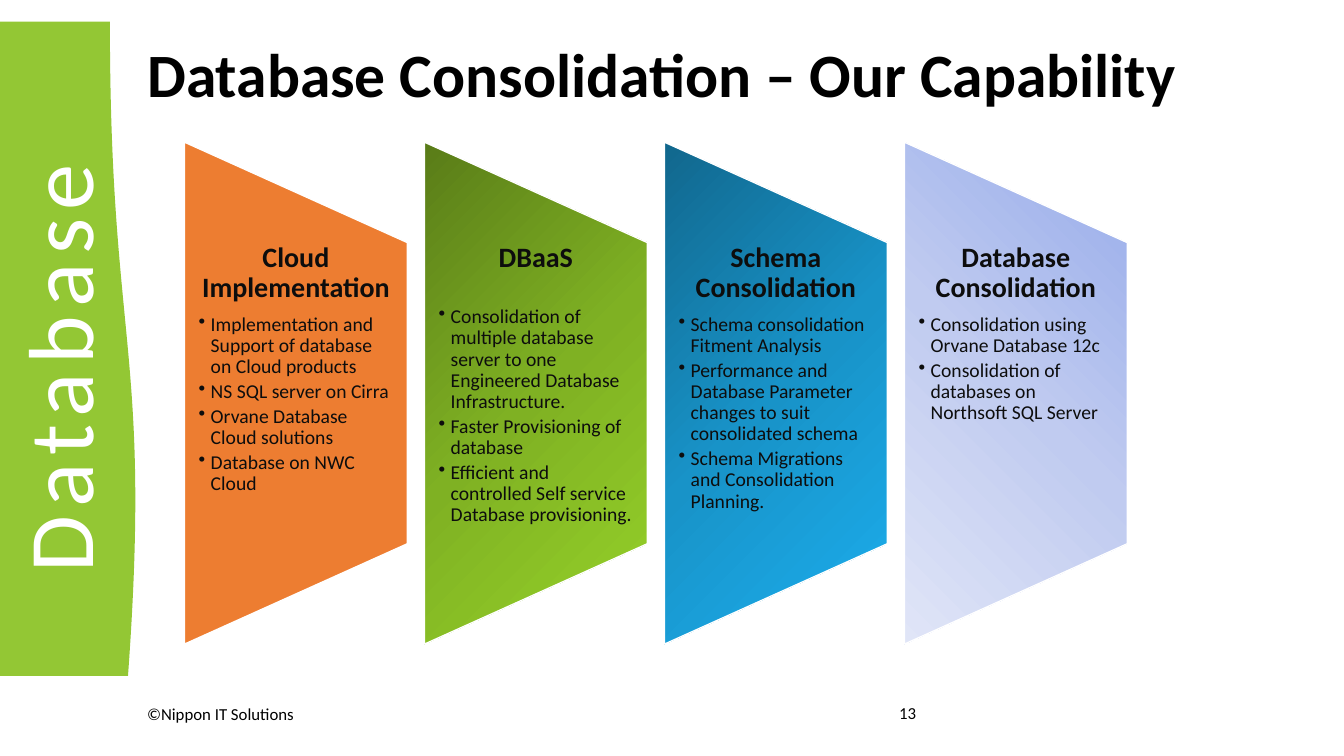
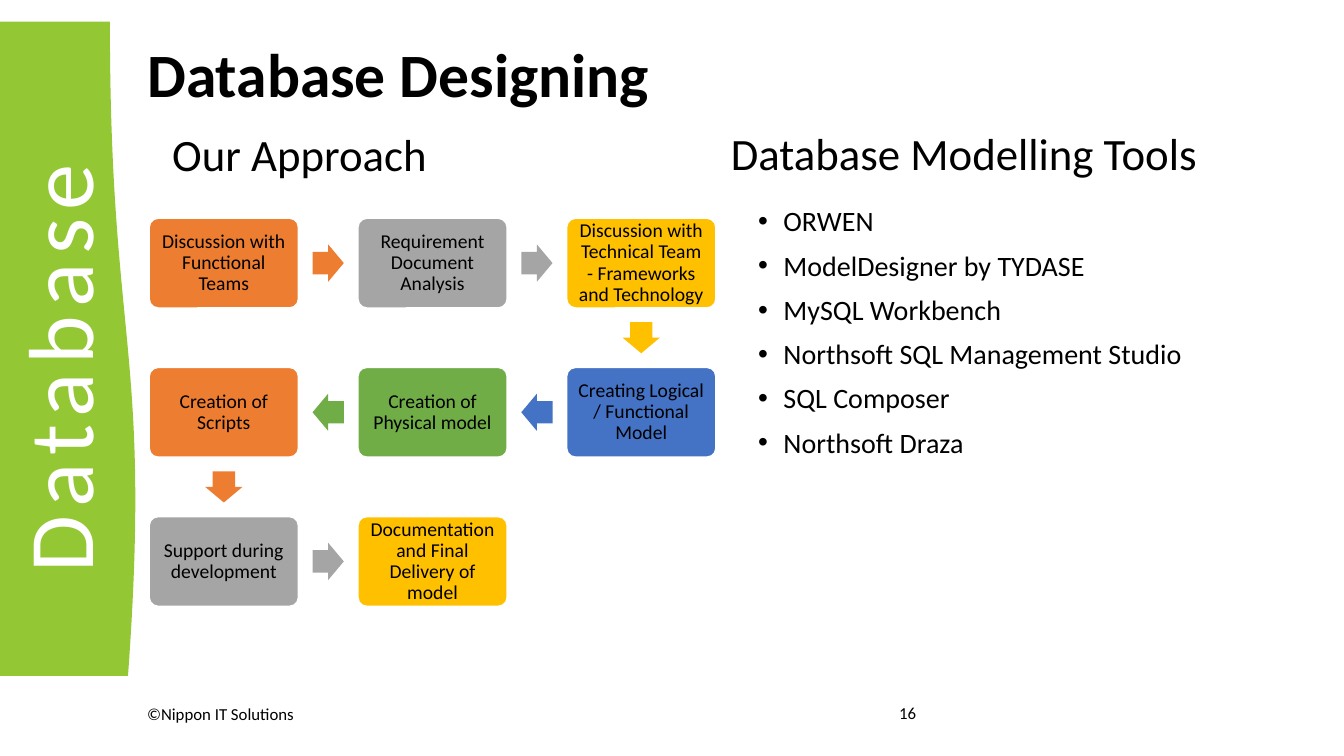
from copy import deepcopy
from dataclasses import dataclass
from itertools import pairwise

from pptx import Presentation
from pptx.dml.color import RGBColor
from pptx.enum.shapes import MSO_SHAPE
from pptx.enum.text import MSO_ANCHOR, MSO_AUTO_SIZE, PP_ALIGN
from pptx.oxml.ns import qn
from pptx.oxml.xmlchemy import OxmlElement
from pptx.presentation import Presentation as Deck
from pptx.shapes.autoshape import Shape
from pptx.slide import Slide
from pptx.text.text import TextFrame
from pptx.util import Inches, Pt

FONT = "Calibri"
BLACK = RGBColor(0x00, 0x00, 0x00)
INK = RGBColor(0x0D, 0x0D, 0x0D)
WHITE = RGBColor(0xFF, 0xFF, 0xFF)
LIME = RGBColor(0x93, 0xC7, 0x34)
ORANGE = RGBColor(0xED, 0x7D, 0x31)
GRAY = RGBColor(0xA5, 0xA5, 0xA5)
GOLD = RGBColor(0xFF, 0xC0, 0x00)
BLUE = RGBColor(0x44, 0x72, 0xC4)
GREEN = RGBColor(0x70, 0xAD, 0x47)
GREEN_FADE = (RGBColor(0x59, 0x7C, 0x18), RGBColor(0x7F, 0xB1, 0x23), RGBColor(0x96, 0xD2, 0x29))
BLUE_FADE = (RGBColor(0x11, 0x67, 0x8D), RGBColor(0x18, 0x93, 0xC8), RGBColor(0x1C, 0xAE, 0xEE))
LILAC_FADE = (RGBColor(0x96, 0xAB, 0xEA), RGBColor(0xC0, 0xCB, 0xF0), RGBColor(0xE0, 0xE5, 0xF7))

TITLE_ONLY, TITLE_AND_BODY = 5, 1


@dataclass(frozen=True)
class Capability:
    heading: str
    points: tuple[str, ...]
    colors: tuple[RGBColor, ...]
    angle: int = 45
    heading_gap: float = 8


@dataclass(frozen=True)
class Step:
    label: str
    row: int
    column: int
    color: RGBColor


CAPABILITIES = (
    Capability(
        "Cloud Implementation",
        (
            "Implementation and Support of database on Cloud products",
            "NS SQL server on Cirra",
            "Orvane Database Cloud solutions",
            "Database on NWC Cloud",
        ),
        (ORANGE,),
    ),
    Capability(
        "DBaaS",
        (
            "Consolidation of multiple database server to one Engineered Database Infrastructure.",
            "Faster Provisioning of database",
            "Efficient and controlled Self service Database provisioning.",
        ),
        GREEN_FADE,
        heading_gap=24,
    ),
    Capability(
        "Schema Consolidation",
        (
            "Schema consolidation Fitment Analysis",
            "Performance and Database Parameter changes to suit consolidated schema",
            "Schema Migrations and Consolidation Planning.",
        ),
        BLUE_FADE,
    ),
    Capability(
        "Database Consolidation",
        (
            "Consolidation using Orvane Database 12c",
            "Consolidation of databases on Northsoft SQL Server",
        ),
        LILAC_FADE,
        angle=135,
    ),
)

STEPS = (
    Step("Discussion with Functional Teams", 0, 0, ORANGE),
    Step("Requirement Document Analysis", 0, 1, GRAY),
    Step("Discussion with Technical Team - Frameworks and Technology", 0, 2, GOLD),
    Step("Creating Logical / Functional Model", 1, 2, BLUE),
    Step("Creation of Physical model", 1, 1, GREEN),
    Step("Creation of Scripts", 1, 0, ORANGE),
    Step("Support during development", 2, 0, GRAY),
    Step("Documentation and Final Delivery of model", 2, 1, GOLD),
)

TOOLS = (
    "ORWEN",
    "ModelDesigner by TYDASE",
    "MySQL Workbench",
    "Northsoft SQL Management Studio",
    "SQL Composer",
    "Northsoft Draza",
)


def write(
    frame: TextFrame,
    text: str,
    *,
    size: float,
    color: RGBColor = BLACK,
    bold: bool = False,
    align: PP_ALIGN = PP_ALIGN.LEFT,
    line: float = 0.9,
    before: float = 0,
    after: float = 0,
    bullet_indent: float = 0,
    tracking: float = 0,
) -> None:
    first = frame.paragraphs[0]
    paragraph = frame.add_paragraph() if first.runs else first
    if bullet_indent:
        properties = paragraph._p.get_or_add_pPr()
        properties.set("marL", str(Inches(bullet_indent)))
        properties.set("indent", str(-Inches(bullet_indent)))
        bullet = OxmlElement("a:buChar")
        bullet.set("char", "•")
        properties.append(bullet)
    paragraph.alignment = align
    paragraph.line_spacing = line
    paragraph.space_before = Pt(before)
    paragraph.space_after = Pt(after)
    run = paragraph.add_run()
    run.text = text
    run.font.name = FONT
    run.font.size = Pt(size)
    run.font.bold = bold
    run.font.color.rgb = color
    if tracking:
        run._r.get_or_add_rPr().set("spc", str(int(tracking * 100)))


def prepare(
    frame: TextFrame,
    anchor: MSO_ANCHOR = MSO_ANCHOR.TOP,
    side: float = 0.1,
    edge: float = 0.05,
) -> TextFrame:
    frame.word_wrap = True
    frame.auto_size = MSO_AUTO_SIZE.NONE
    frame.vertical_anchor = anchor
    frame.margin_left = frame.margin_right = Inches(side)
    frame.margin_top = frame.margin_bottom = Inches(edge)
    return frame


def place(shape: Shape, left: float, top: float, width: float, height: float) -> None:
    shape.left, shape.top = Inches(left), Inches(top)
    shape.width, shape.height = Inches(width), Inches(height)


def add_text_box(slide: Slide, left: float, top: float, width: float, height: float) -> Shape:
    return slide.shapes.add_textbox(Inches(left), Inches(top), Inches(width), Inches(height))


def add_centered(
    slide: Slide,
    kind: MSO_SHAPE,
    center: tuple[float, float],
    size: tuple[float, float],
    colors: tuple[RGBColor, ...],
    *,
    rotation: float = 0,
    angle: int = 0,
    outlined: bool = False,
) -> Shape:
    (x, y), (width, height) = center, size
    shape = slide.shapes.add_shape(
        kind, Inches(x - width / 2), Inches(y - height / 2), Inches(width), Inches(height)
    )
    shape.shadow.inherit = False
    shape.rotation = rotation
    if len(colors) == 1:
        shape.fill.solid()
        shape.fill.fore_color.rgb = colors[0]
    else:
        fade(shape, colors, angle)
    if outlined:
        shape.line.color.rgb = WHITE
        shape.line.width = Pt(1)
    else:
        shape.line.fill.background()
    return shape


def fade(shape: Shape, colors: tuple[RGBColor, ...], angle: int) -> None:
    shape.fill.gradient()
    gradient = shape.element.spPr.find(qn("a:gradFill"))
    gradient.set("rotWithShape", "0")
    stops = gradient.find(qn("a:gsLst"))
    stops.insert(1, deepcopy(stops[0]))
    for index, (stop, color) in enumerate(zip(shape.fill.gradient_stops, colors)):
        stop.position = index / (len(colors) - 1)
        stop.color.rgb = color
    shape.fill.gradient_angle = 360 - angle


def start_slide(deck: Deck, layout: int, title: str, number: int) -> Slide:
    slide = deck.slides.add_slide(deck.slide_layouts[layout])
    add_centered(
        slide, MSO_SHAPE.FLOWCHART_DOCUMENT, (0.68, 3.46), (6.49, 1.36), (LIME,), rotation=270
    )
    place(slide.shapes.title, 1.36, 0.4, 11.06, 0.73)
    write(prepare(slide.shapes.title.text_frame, MSO_ANCHOR.MIDDLE), title, size=44, bold=True)
    section = add_text_box(slide, -1.79, 3.05, 4.72, 1.21)
    section.rotation = 270
    write(
        prepare(section.text_frame), "Database",
        size=66, color=WHITE, align=PP_ALIGN.CENTER, line=1, tracking=6,
    )
    copyright_line = add_text_box(slide, 1.36, 6.93, 5.71, 0.4)
    write(prepare(copyright_line.text_frame), "©Nippon IT Solutions", size=12, line=1)
    page_number = add_text_box(slide, 8.82, 6.92, 1.07, 0.4)
    write(prepare(page_number.text_frame), str(number), size=12, line=1)
    return slide


def add_capability(slide: Slide, capability: Capability, left: float) -> None:
    width = 2.21
    add_centered(
        slide, MSO_SHAPE.FLOWCHART_MANUAL_OPERATION, (left + width / 2, 3.9), (4.98, width),
        capability.colors, rotation=270, angle=capability.angle, outlined=True,
    )
    frame = prepare(add_text_box(slide, left, 2.41, width, 2.99).text_frame, side=0.14, edge=0)
    write(
        frame, capability.heading,
        size=20, color=INK, bold=True, align=PP_ALIGN.CENTER, after=capability.heading_gap,
    )
    for point in capability.points:
        write(frame, point, size=14, color=INK, after=2.5, bullet_indent=0.12)


def step_center(step: Step) -> tuple[float, float]:
    return 2.22 + step.column * 2.07, 2.61 + step.row * 1.48


def add_step(slide: Slide, step: Step) -> None:
    box = add_centered(
        slide, MSO_SHAPE.ROUNDED_RECTANGLE, step_center(step), (1.48, 0.89), (step.color,),
        outlined=True,
    )
    box.adjustments[0] = 0.1
    frame = prepare(box.text_frame, MSO_ANCHOR.MIDDLE, side=0.08, edge=0.08)
    write(frame, step.label, size=14, align=PP_ALIGN.CENTER)


def add_step_arrow(slide: Slide, step: Step, following: Step) -> None:
    (x1, y1), (x2, y2) = step_center(step), step_center(following)
    rotation = 90 if following.row > step.row else 0 if following.column > step.column else 180
    arrow = add_centered(
        slide, MSO_SHAPE.RIGHT_ARROW, ((x1 + x2) / 2, (y1 + y2) / 2), (0.31, 0.37),
        (step.color,), rotation=rotation,
    )
    arrow.adjustments[0], arrow.adjustments[1] = 0.6, 0.5


def build_capability_slide(deck: Deck) -> None:
    slide = start_slide(deck, TITLE_ONLY, "Database Consolidation – Our Capability", 13)
    for index, capability in enumerate(CAPABILITIES):
        add_capability(slide, capability, 1.83 + index * 2.38)


def build_design_slide(deck: Deck) -> None:
    slide = start_slide(deck, TITLE_AND_BODY, "Database Designing", 16)
    for heading, left, top in (("Our Approach", 1.61, 1.27), ("Database Modelling Tools", 7.15, 1.26)):
        frame = prepare(add_text_box(slide, left, top, 5.08, 0.57).text_frame, MSO_ANCHOR.BOTTOM)
        write(frame, heading, size=32, line=0.8)
    for step in STEPS:
        add_step(slide, step)
    for step, following in pairwise(STEPS):
        add_step_arrow(slide, step, following)
    tool_list = slide.placeholders[1]
    place(tool_list, 7.42, 2.01, 5.73, 2.63)
    frame = prepare(tool_list.text_frame)
    for index, tool in enumerate(TOOLS):
        write(frame, tool, size=20, before=10 if index else 0, bullet_indent=0.25)


def main() -> None:
    deck = Presentation()
    deck.slide_width, deck.slide_height = Inches(13.33), Inches(7.5)
    build_capability_slide(deck)
    build_design_slide(deck)
    deck.save("out.pptx")


if __name__ == "__main__":
    main()
